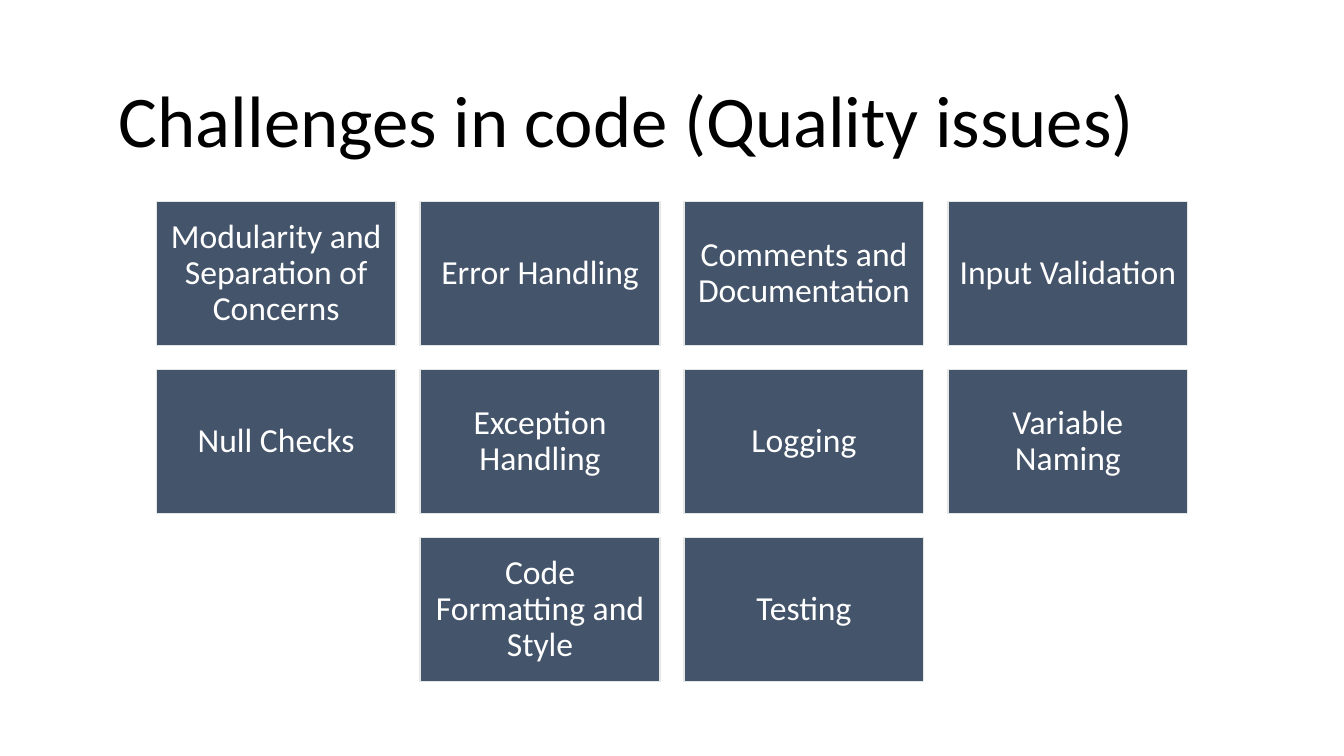
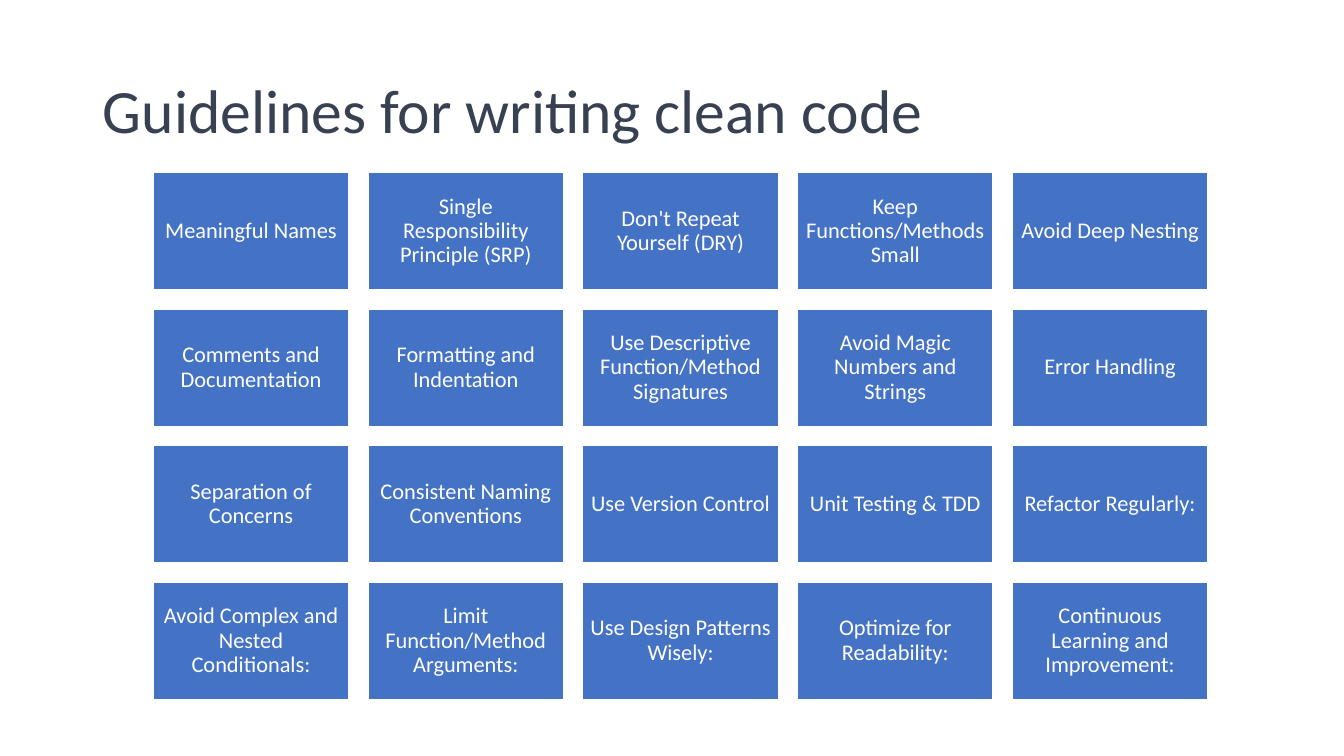
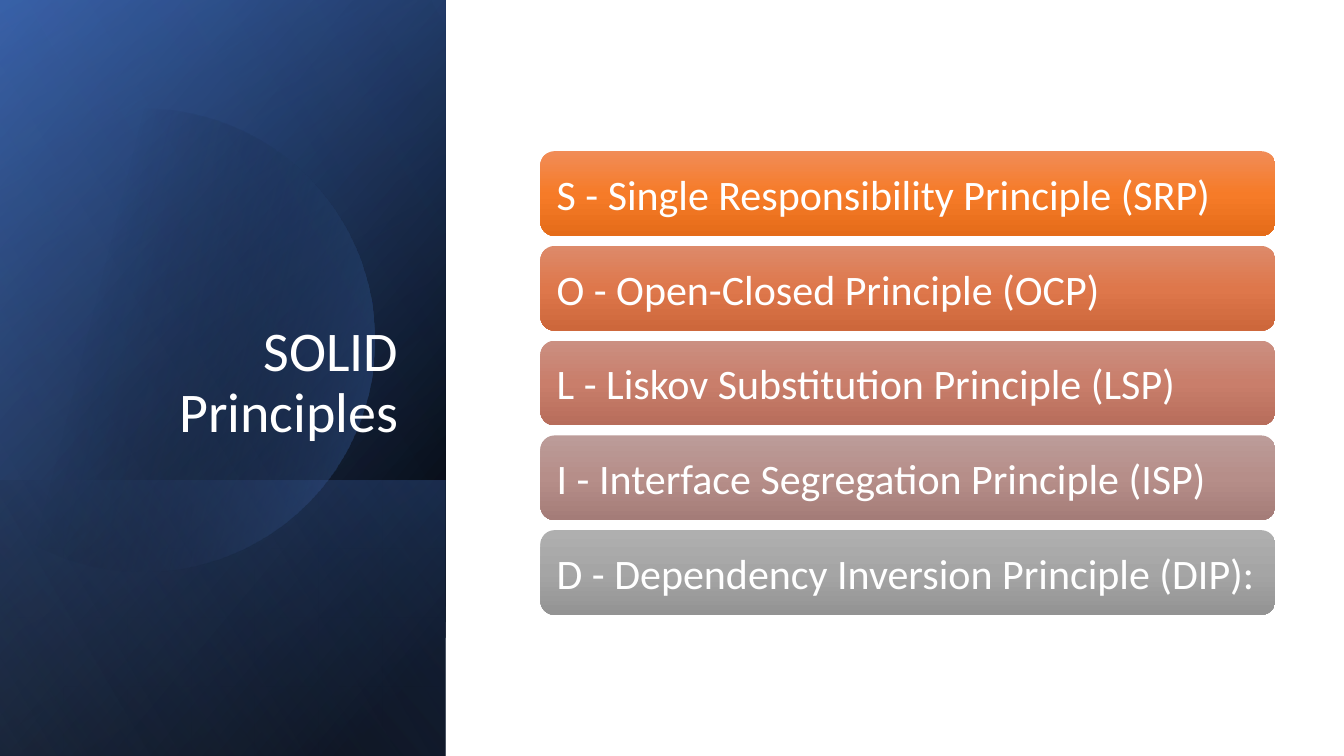
from math import acos, cos, sin

from lxml import etree
from pptx import Presentation
from pptx.dml.color import RGBColor
from pptx.enum.shapes import MSO_SHAPE
from pptx.enum.text import MSO_ANCHOR, MSO_AUTO_SIZE, PP_ALIGN
from pptx.oxml.ns import qn
from pptx.util import Inches, Pt

RECT, ROUND = MSO_SHAPE.RECTANGLE, MSO_SHAPE.ROUNDED_RECTANGLE
LEFT, MID, RIGHT = PP_ALIGN.LEFT, PP_ALIGN.CENTER, PP_ALIGN.RIGHT
CENTER, BOTTOM = MSO_ANCHOR.MIDDLE, MSO_ANCHOR.BOTTOM
FONT = "Calibri"
WIDE, HIGH = 13.33, 7.5
TITLE_ONLY = 5
WHITE, BLACK, BLUE, SLATE = "FFFFFF", "000000", "4472C4", "44546A"

ISSUES = [
    "Modularity and Separation of Concerns", "Error Handling",
    "Comments and Documentation", "Input Validation",
    "Null Checks", "Exception Handling", "Logging", "Variable Naming",
    "Code Formatting and Style", "Testing",
]
GUIDES = [
    "Meaningful Names", "Single Responsibility Principle (SRP)",
    "Don't Repeat Yourself (DRY)", "Keep Functions/Methods Small",
    "Avoid Deep Nesting",
    "Comments and Documentation", "Formatting and Indentation",
    "Use Descriptive Function/Method Signatures",
    "Avoid Magic Numbers and Strings", "Error Handling",
    "Separation of Concerns", "Consistent Naming Conventions",
    "Use Version Control", "Unit Testing & TDD", "Refactor Regularly:",
    "Avoid Complex and Nested Conditionals:",
    "Limit Function/Method Arguments:", "Use Design Patterns Wisely:",
    "Optimize for Readability:", "Continuous Learning and Improvement:",
]
# Each principle with its top, middle and bottom shade
SOLID = [
    ("S - Single Responsibility Principle (SRP)", "F18C57", "F67B28", "E56C19"),
    ("O - Open-Closed Principle (OCP)", "DD8A6A", "DE774B", "CD673B"),
    ("L - Liskov Substitution Principle (LSP)", "CB8F81", "C97E6B", "B76D5B"),
    ("I - Interface Segregation Principle (ISP)", "BC9C99", "B68E89", "A47C78"),
    ("D - Dependency Inversion Principle (DIP):", "AFAFAF", "A5A5A5", "939393"),
]


def color(code):
    return RGBColor.from_string(code)


def assign(part, values):
    for name, value in values.items():
        setattr(part, name, value)


def place(shape, box):
    names = ("left", "top", "width", "height")
    assign(shape, dict(zip(names, map(Inches, box))))


def write(shape, text, size, ink=WHITE, align=MID, anchor=CENTER,
          pad=0.1, side=None, lead=0.9):
    """Put one formatted paragraph in a shape; side is the left inset."""
    frame = shape.text_frame
    frame.text = text
    assign(frame, {
        "word_wrap": True, "auto_size": MSO_AUTO_SIZE.NONE,
        "vertical_anchor": anchor, "margin_top": Inches(0.05),
        "margin_bottom": Inches(0.05), "margin_right": Inches(pad),
        "margin_left": Inches(side or pad),
    })
    para = frame.paragraphs[0]
    assign(para, {"alignment": align, "line_spacing": lead})
    assign(para.font, {"name": FONT, "size": Pt(size)})
    para.font.color.rgb = color(ink)


def blend(shape, stops, angle):
    """Fill with a gradient; a stop is (place, colour, opacity), in percent."""
    shape.shadow.inherit = False
    shape.line.fill.background()
    shape.fill.background()
    grad = etree.Element(qn("a:gradFill"), rotWithShape="1")
    items = etree.SubElement(grad, qn("a:gsLst"))
    for spot, code, alpha in stops:
        stop = etree.SubElement(items, qn("a:gs"), pos=str(spot * 1000))
        tint = etree.SubElement(stop, qn("a:srgbClr"), val=code)
        if alpha < 100:
            etree.SubElement(tint, qn("a:alpha"), val=str(alpha * 1000))
    etree.SubElement(grad, qn("a:lin"), ang=str(angle * 60000), scaled="0")
    props = shape.element.spPr
    props.replace(props.find(qn("a:noFill")), grad)


def add(slide, kind, box):
    return slide.shapes.add_shape(kind, *map(Inches, box))


def cells(box, count, cols, gap):
    """Yield equal boxes row by row, with a short last row centred."""
    left, top, width, height = box
    rows = -(-count // cols)
    wide = (width - gap * (cols - 1)) / cols
    high = (height - gap * (rows - 1)) / rows
    for index in range(count):
        row, col = divmod(index, cols)
        shift = (cols - min(cols, count - row * cols)) / 2
        yield (left + (col + shift) * (wide + gap),
               top + row * (high + gap), wide, high)


def start(deck, text, box, **style):
    """Add a slide with its title."""
    slide = deck.slides.add_slide(deck.slide_layouts[TITLE_ONLY])
    title = slide.shapes.title
    place(title, box)
    write(title, text, **{"align": LEFT, **style})
    return slide


def tiles(slide, box, texts, cols, gap, fill, edge, size, pad):
    for text, cell in zip(texts, cells(box, len(texts), cols, gap)):
        tile = add(slide, RECT, cell)
        tile.shadow.inherit = False
        tile.fill.solid()
        tile.fill.fore_color.rgb = color(fill)
        tile.line.color.rgb = color(edge)
        tile.line.width = Pt(1)
        write(tile, text, size, pad=pad)


def disc(slide, x, y, radius):
    """Draw a circle cut off by the left edge of the slide."""
    end = acos(-x / radius)
    steps = 90
    turns = [end * (2 * k / steps - 1) for k in range(steps + 1)]
    dots = [(Inches(x + radius * cos(t)), Inches(y + radius * sin(t)))
            for t in turns]
    pen = slide.shapes.build_freeform(*dots[0])
    pen.add_line_segments(dots[1:], close=True)
    blend(pen.convert_to_shape(), [(29, BLACK, 0), (100, BLUE, 43)], 14)


def panel(slide, box):
    """Stack translucent gradients into the dark side panel."""
    left, top, width, height = box
    foot = height * 0.365
    base = (left, top + height - foot, width, foot)

    def layer(area, stops, angle):
        blend(add(slide, RECT, area), stops, angle)

    layer(box, [(8, BLACK, 100), (100, "2F5597", 100)], 220)
    layer(box, [(0, BLACK, 0), (99, BLUE, 46)], 240)
    layer(base, [(2, BLUE, 29), (100, BLACK, 30)], 140)
    disc(slide, left + width * 0.32, top + height * 0.45, width * 0.52)
    layer(box, [(0, BLACK, 0), (99, "8FAADC", 11)], 150)


def bars(slide, box, items, gap):
    for item, cell in zip(items, cells(box, len(items), 1, gap)):
        text, *shades = item
        bar = add(slide, ROUND, cell)
        blend(bar, [(k * 50, code, 100) for k, code in enumerate(shades)], 90)
        # The rounded corners add to the inset
        write(bar, text, 30, align=LEFT, pad=0.08, side=0.12, lead=1.0)


def main():
    deck = Presentation()
    assign(deck, {"slide_width": Inches(WIDE), "slide_height": Inches(HIGH)})

    # Quality issues
    slide = start(deck, "Challenges in code (Quality issues)",
                  (0.92, 0.61, 11.5, 1.24), size=52, ink=BLACK, side=0.26)
    tiles(slide, (1.55, 2, 10.23, 4.76), ISSUES, cols=4, gap=0.24,
          fill=SLATE, edge="E7E6E6", size=24, pad=0.1)

    # Guidelines
    slide = start(deck, "Guidelines for writing clean code",
                  (0.92, 0.4, 11.5, 1.45), size=44, ink="374151")
    tiles(slide, (1.52, 1.71, 10.46, 5.23), GUIDES, cols=5, gap=0.19,
          fill=BLUE, edge=WHITE, size=16, pad=0.07)

    # Principles: the title is lifted above the panel
    slide = start(deck, "SOLID Principles", (0.64, 1.84, 3.41, 2.62),
                  size=40, align=RIGHT, anchor=BOTTOM)
    panel(slide, (0, 0, 4.42, HIGH))
    title = slide.shapes.title.element
    title.getparent().append(title)
    bars(slide, (5.36, 1.5, 7.29, 4.6), SOLID, gap=0.1)

    deck.save("out.pptx")


if __name__ == "__main__":
    main()
